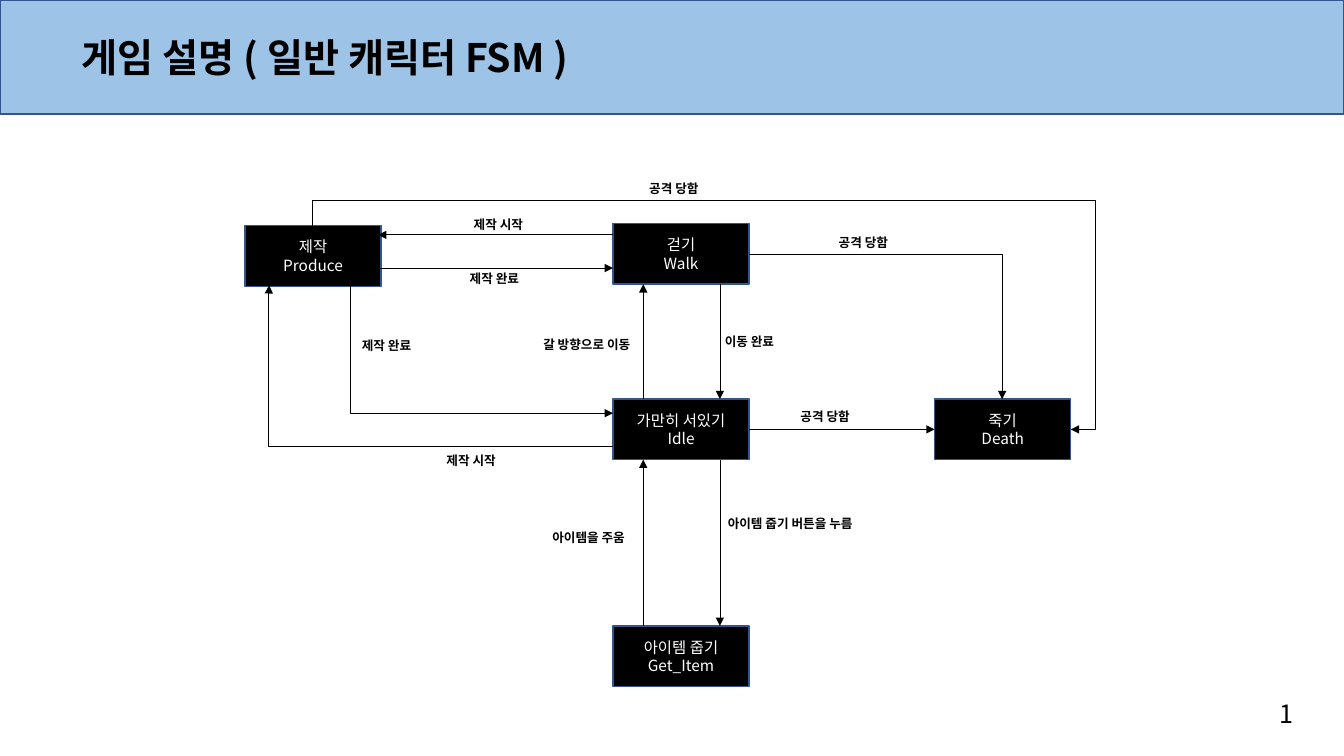
"""Build the character state machine slide."""
import lxml.etree
import pptx
import pptx.dml.color
import pptx.enum.shapes
import pptx.enum.text
import pptx.oxml.ns
import pptx.util

Inches = pptx.util.Inches
Pt = pptx.util.Pt
qn = pptx.oxml.ns.qn
ALIGN = pptx.enum.text.PP_ALIGN
CONNECTOR = pptx.enum.shapes.MSO_CONNECTOR


def rgb(value):
    return pptx.dml.color.RGBColor.from_string(value)


class Diagram:
    FONT = "Noto Sans CJK KR"
    BLACK, WHITE = "000000", "FFFFFF"
    BAND, BORDER = "9DC3E6", "325491"

    def __init__(self, slide):
        self.slide = slide
        self.shapes = slide.shapes

    def set_text(self, sp, text, size, color, bold=False, align=ALIGN.LEFT, wrap=True):
        tf = sp.text_frame
        tf.text = text
        tf.word_wrap = wrap
        tf.vertical_anchor = pptx.enum.text.MSO_ANCHOR.MIDDLE
        for p in tf.paragraphs:
            p.alignment = align
            for r in p.runs:
                r.font.size = Pt(size)
                r.font.bold = bold
                r.font.color.rgb = rgb(color)
                r.font.name = self.FONT
                ea = lxml.etree.SubElement(r.font._element, qn("a:ea"))
                ea.set("typeface", self.FONT)

    def rect(self, x, y, w, h, fill):
        sp = self.shapes.add_shape(
            pptx.enum.shapes.MSO_SHAPE.RECTANGLE,
            Inches(x), Inches(y), Inches(w), Inches(h))
        sp.shadow.inherit = False
        sp.fill.solid()
        sp.fill.fore_color.rgb = rgb(fill)
        sp.line.color.rgb = rgb(self.BORDER)
        sp.line.width = Pt(1)
        return sp

    def title(self, text, x, y, w, h):
        sp = self.shapes.title
        sp.left, sp.top, sp.width, sp.height = (Inches(v) for v in (x, y, w, h))
        self.set_text(sp, text, 28, self.BLACK, bold=True)
        sp.text_frame.auto_size = pptx.enum.text.MSO_AUTO_SIZE.SHAPE_TO_FIT_TEXT
        self.shapes._spTree.append(sp._element)

    def state(self, text, x, y):
        sp = self.rect(x, y, 1.35, 0.6, self.BLACK)
        self.set_text(sp, text, 11, self.WHITE, align=ALIGN.CENTER)
        return sp

    def label(self, text, x, y, w=0.75, h=0.25, size=9, bold=True):
        sp = self.shapes.add_textbox(Inches(x), Inches(y), Inches(w), Inches(h))
        self.set_text(sp, text, size, self.BLACK, bold=bold, wrap=False)
        sp.text_frame.auto_size = pptx.enum.text.MSO_AUTO_SIZE.SHAPE_TO_FIT_TEXT

    def arrow(self, x1, y1, x2, y2, kind=CONNECTOR.STRAIGHT):
        s = self.shapes.add_connector(
            kind, Inches(x1), Inches(y1), Inches(x2), Inches(y2))
        s.line.color.rgb = rgb(self.BLACK)
        s.line.width = Pt(0.5)
        ln = s._element.spPr.find(qn("a:ln"))
        lxml.etree.SubElement(ln, qn("a:tailEnd"), type="triangle")
        lxml.etree.SubElement(s._element.spPr, qn("a:effectLst"))
        return s

    def elbow(self, x1, y1, x2, y2, preset, adjusts=(), rotation=0):
        s = self.arrow(x1, y1, x2, y2, CONNECTOR.ELBOW)
        spPr = s._element.spPr
        if rotation:
            spPr.find(qn("a:xfrm")).set("rot", str(rotation * 60000))
        geom = spPr.find(qn("a:prstGeom"))
        geom.set("prst", preset)
        for i, value in enumerate(adjusts, 1):
            lxml.etree.SubElement(geom.find(qn("a:avLst")), qn("a:gd"),
                                  name=f"adj{i}", fmla=f"val {value}")


def main():
    prs = pptx.Presentation()
    prs.slide_width, prs.slide_height = Inches(13.33), Inches(7.5)
    d = Diagram(prs.slides.add_slide(prs.slide_layouts[5]))

    d.rect(0, 0, 13.33, 1.13, d.BAND)
    d.title("게임 설명 ( 일반 캐릭터 FSM )", 0.71, 0.28, 5.96, 0.57)

    idle = d.state("가만히 서있기\nIdle", 6.08, 3.96)
    d.state("아이템 줍기\nGet_Item", 6.08, 6.21)
    death = d.state("죽기\nDeath", 9.27, 3.96)
    d.state("걷기\nWalk", 6.08, 2.22)
    d.state("제작\nProduce", 2.43, 2.24)

    for ends in (
        (7.14, 4.56, 7.14, 6.21),
        (6.38, 6.21, 6.38, 4.56),
        (7.14, 2.82, 7.14, 3.96),
        (6.38, 3.96, 6.38, 2.82),
        (6.08, 2.33, 3.75, 2.33),
        (3.77, 2.66, 6.08, 2.66),
    ):
        d.arrow(*ends)
    s = d.arrow(7.43, 4.26, 9.27, 4.26)
    s.begin_connect(idle, 3)
    s.end_connect(death, 1)

    d.elbow(7.43, 2.52, 9.94, 3.96, "bentConnector2")
    d.elbow(3.46, 2.83, 6.08, 4.1, "bentConnector3", [700])
    d.elbow(6.08, 4.43, 2.67, 2.83, "bentConnector3", [100100])
    d.elbow(7.87, -0.51, 5.85, 7.01, "bentConnector4", [-12400, 103300], 270)

    for text, x, y, w in (
        ("아이템 줍기 버튼을 누름", 7.12, 5.07, 1.6),
        ("아이템을 주움", 5.38, 5.21, 1),
        ("갈 방향으로 이동", 5.29, 3.29, 1.17),
        ("이동 완료", 7.09, 3.26, 0.75),
        ("공격 당함", 7.84, 4.01, 0.75),
        ("공격 당함", 8.22, 2.28, 0.75),
        ("공격 당함", 6.34, 1.74, 0.75),
        ("제작 시작", 4.6, 2.1, 0.75),
        ("제작 완료", 4.56, 2.64, 0.75),
        ("제작 완료", 3.49, 3.3, 0.75),
        ("제작 시작", 4.33, 4.44, 0.75),
    ):
        d.label(text, x, y, w)
    d.label("1", 12.59, 6.88, 0.34, 0.4, size=18, bold=False)

    prs.save("out.pptx")


if __name__ == "__main__":
    main()
